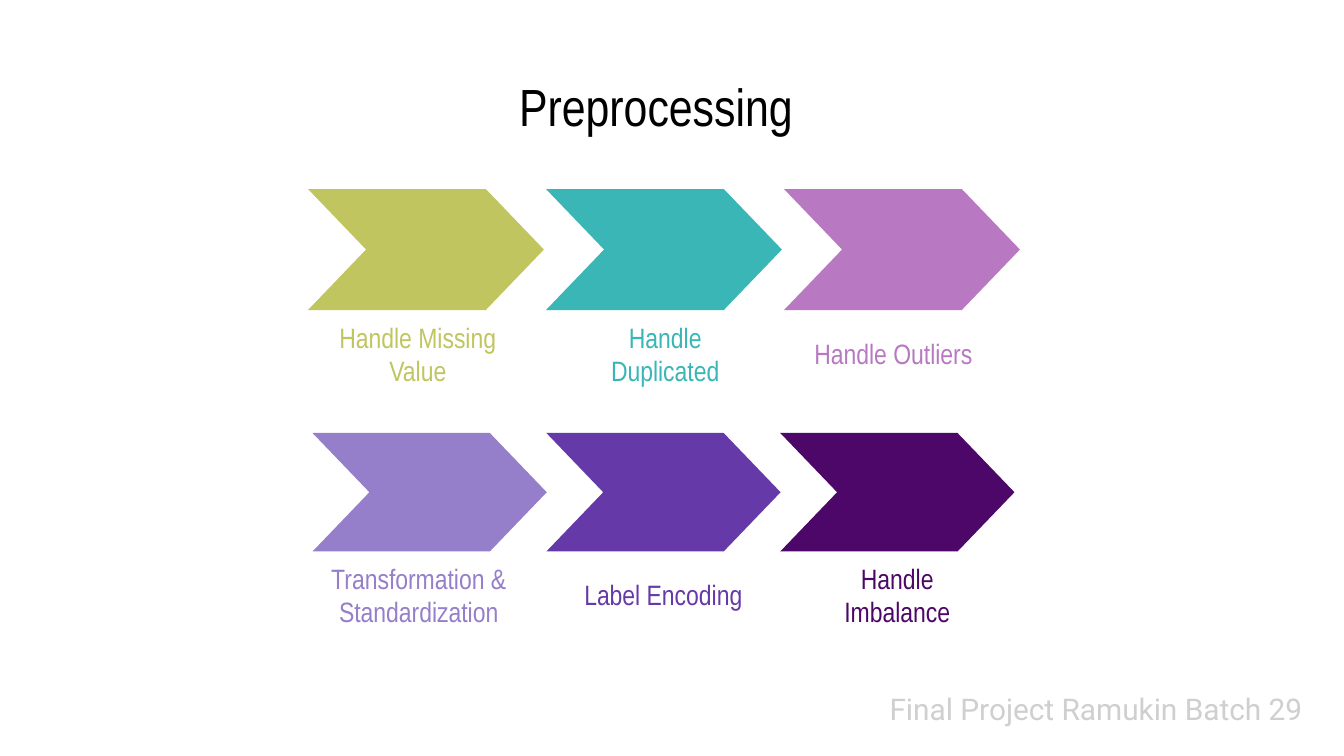
from pptx import Presentation
from pptx.dml.color import RGBColor
from pptx.enum.shapes import MSO_SHAPE as Shape
from pptx.enum.text import MSO_ANCHOR as Anchor, PP_ALIGN as Align
from pptx.util import Inches, Pt

THEME = {
    "title": ("Arial Narrow", 28, "000000"),
    "footer": ("Roboto", 16, "CFCFCF"),
    "label": ("Arial Narrow", 15),
    "olive": "C0C55F", "teal": "39B6B5", "orchid": "B878C2",
    "lavender": "957FCA", "violet": "6639A8", "plum": "4C0768",
}

# Widescreen slide, 16:9
presentation = Presentation()
presentation.slide_width = Inches(10)
presentation.slide_height = presentation.slide_width * 9 // 16
slide = presentation.slides.add_slide(presentation.slide_layouts[6])

# Grid: 100 columns across the slide, rows as tall as columns are wide
UNIT = presentation.slide_width / 100


def grid(*cells):
    return [round(cell * UNIT) for cell in cells]


def add_text(text, box, style, align=Align.CENTER):
    font_name, size, color = style
    frame = slide.shapes.add_textbox(*grid(*box)).text_frame
    frame.word_wrap = True
    frame.vertical_anchor = Anchor.MIDDLE
    frame.margin_left = frame.margin_right = Inches(0.1)
    frame.margin_top = frame.margin_bottom = Inches(0.1)
    frame.text = text
    paragraph = frame.paragraphs[0]
    paragraph.alignment = align
    font = paragraph.runs[0].font
    font.name, font.size = font_name, Pt(size)
    font.color.rgb = RGBColor.from_string(color)


# Footer and title
add_text("Final Project Ramukin Batch 29", (65.2, 50.4, 32.8, 4.7),
         THEME["footer"], Align.LEFT)
add_text("Preprocessing", (26.3, 6.1, 45, 3.5), THEME["title"])

# Each row: left, top, pitch, arrow width, arrow height, label middle, steps
# Each step: label, colour, label width, label height, label shift, alignment
ROWS = [
    (22.92, 14.07, 17.71, 17.55, 9, 26.32, [
        ("Handle Missing Value", "olive", 14.6, 4.7, -0.6, Align.CENTER),
        ("Handle Duplicated", "teal", 15.4, 3.6, 0.1, Align.CENTER),
        ("Handle Outliers", "orchid", 15.4, 4.9, 0.2, Align.LEFT)]),
    (23.25, 32.22, 17.4, 17.43, 8.82, 44.25, [
        ("Transformation & Standardization", "lavender", 16.5, 3.6, -0.8, Align.CENTER),
        ("Label Encoding", "violet", 15.4, 3.6, 0, Align.CENTER),
        ("Handle Imbalance", "plum", 15.4, 3.6, 0, Align.CENTER)]),
]

# Arrows with their labels
for row_left, top, pitch, width, height, middle, steps in ROWS:
    for index, (label, color_name, label_width, label_height, shift, align) in enumerate(steps):
        color = THEME[color_name]
        left = row_left + index * pitch
        arrow = slide.shapes.add_shape(Shape.CHEVRON, *grid(left, top, width, height))
        arrow.adjustments[0] = 0.48
        arrow.shadow.inherit = False
        arrow.fill.solid()
        arrow.fill.fore_color.rgb = RGBColor.from_string(color)
        arrow.line.fill.background()

        label_left = left + width / 2 + shift - label_width / 2
        label_top = middle - label_height / 2
        add_text(label, (label_left, label_top, label_width, label_height),
                 (*THEME["label"], color), align)

presentation.save("out.pptx")
